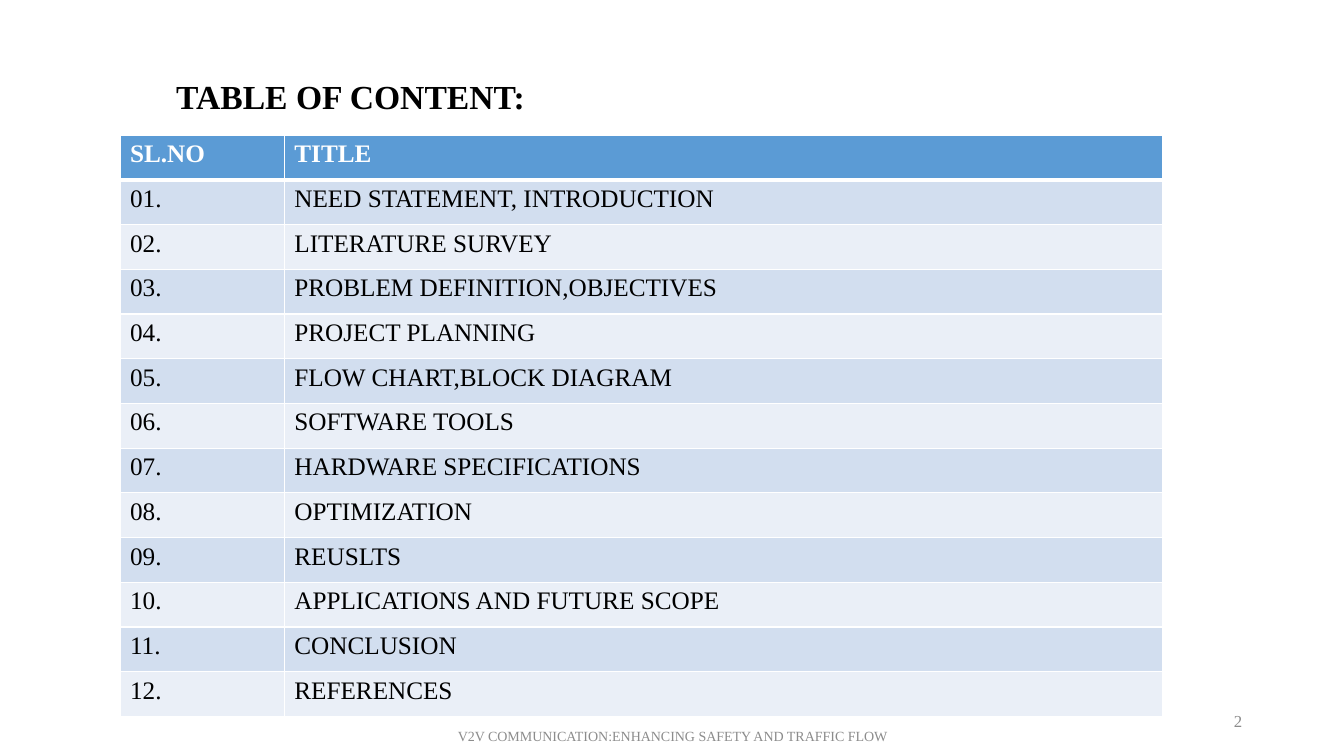
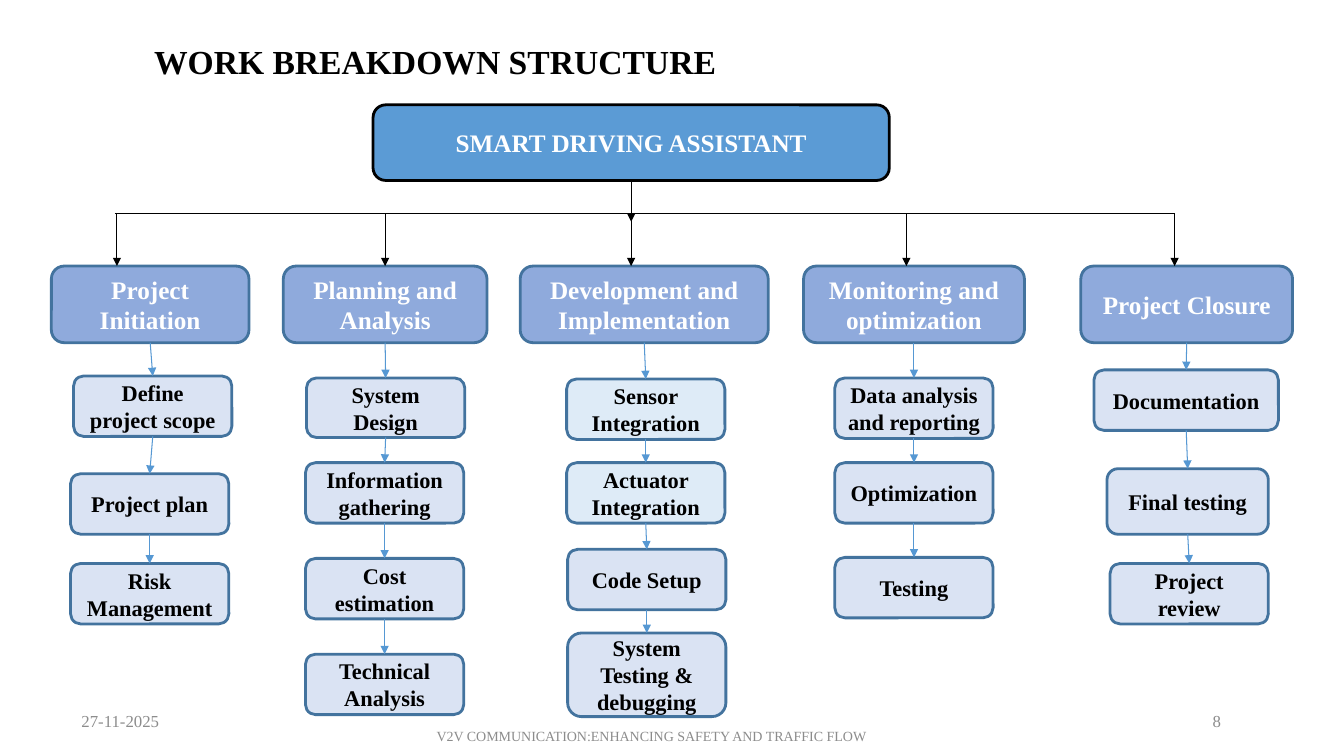
import pptx
import pptx.util
import pptx.dml.color
import pptx.enum.shapes
import pptx.enum.text
import pptx.oxml.ns
from lxml import etree

Inches = pptx.util.Inches
Pt = pptx.util.Pt
ALIGN = pptx.enum.text.PP_ALIGN
ANCHOR = pptx.enum.text.MSO_ANCHOR
qn = pptx.oxml.ns.qn

COLORS = {
    "black": "000000", "white": "FFFFFF", "footer": "8C8C8C",
    "accent": "5B9BD5", "band_dark": "D2DEEF", "band_light": "EAEFF7",
    "phase": "8FAADC", "task": "DAE3F3", "integration": "DEEBF7",
    "outline": "43739E", "arrow": "5698D3",
}
RGB = {name: pptx.dml.color.RGBColor.from_string(value) for name, value in COLORS.items()}
FONT = "Times New Roman"
FOOTER = "V2V COMMUNICATION:ENHANCING SAFETY AND TRAFFIC FLOW"


def write_text(frame, text, size, color, bold=False, align=ALIGN.LEFT, anchor=ANCHOR.MIDDLE, spacing=None):
    frame.word_wrap = True
    frame.vertical_anchor = anchor
    for index, line in enumerate(text.split("\n")):
        paragraph = frame.add_paragraph() if index else frame.paragraphs[0]
        paragraph.alignment = align
        if spacing:
            paragraph.line_spacing = spacing
        run = paragraph.add_run()
        run.text = line
        run.font.name = FONT
        run.font.size = Pt(size)
        run.font.bold = bold
        run.font.color.rgb = RGB[color]


def add_line(slide, start, end, color, arrow=True):
    connector = slide.shapes.add_connector(
        pptx.enum.shapes.MSO_CONNECTOR.STRAIGHT, *[Inches(value) for value in (*start, *end)])
    connector.line.color.rgb = RGB[color]
    connector.line.width = Pt(0.75)
    if arrow:
        etree.SubElement(connector.line._get_or_add_ln(), qn("a:tailEnd"), type="triangle")
    etree.SubElement(connector._element.spPr, qn("a:effectLst"))
    return connector


presentation = pptx.Presentation()
presentation.slide_width = Inches(13.33)
presentation.slide_height = Inches(7.5)

pages = [
    ("TABLE OF CONTENT:", (1.65, 0.61, 11.5, 0.73), ALIGN.LEFT, "2", 9.42, 4.42),
    ("WORK BREAKDOWN STRUCTURE", (0.29, 0.14, 8.05, 0.99), ALIGN.CENTER, "8", 9.21, 4.21),
]
slides = []
for title, title_box, title_align, number, number_left, footer_left in pages:
    slide = presentation.slides.add_slide(presentation.slide_layouts[6])
    slides.append(slide)
    texts = [
        (title, title_box, 24, "black", True, title_align, 0.9),
        (number, (number_left, 6.95, 3, 0.4), 12, "footer", False, ALIGN.RIGHT, None),
        (FOOTER, (footer_left, 7.1, 4.5, 0.4), 10, "footer", False, ALIGN.CENTER, None),
    ]
    for text, box, size, color, bold, align, spacing in texts:
        textbox = slide.shapes.add_textbox(*[Inches(value) for value in box])
        write_text(textbox.text_frame, text, size, color, bold, align, spacing=spacing)
contents_slide, breakdown_slide = slides

topics = [
    "NEED STATEMENT, INTRODUCTION", "LITERATURE SURVEY", "PROBLEM DEFINITION,OBJECTIVES",
    "PROJECT PLANNING", "FLOW CHART,BLOCK DIAGRAM", "SOFTWARE TOOLS",
    "HARDWARE SPECIFICATIONS", "OPTIMIZATION", "REUSLTS",
    "APPLICATIONS AND FUTURE SCOPE", "CONCLUSION", "REFERENCES",
]
rows = [("SL.NO", "TITLE")] + [(f"{number:02d}.", topic) for number, topic in enumerate(topics, 1)]
table = contents_slide.shapes.add_table(
    len(rows), 2, Inches(1.19), Inches(1.34), Inches(10.34), Inches(5.77)).table
table.columns[0].width = Inches(1.63)
table.columns[1].width = Inches(8.71)
for row_index, row in enumerate(rows):
    header = row_index == 0
    fill = "accent" if header else "band_dark" if row_index % 2 else "band_light"
    borders = {"a:lnL": 1, "a:lnR": 1, "a:lnT": 3 if row_index == 1 else 1, "a:lnB": 3 if header else 1}
    for column_index, text in enumerate(row):
        cell = table.cell(row_index, column_index)
        write_text(cell.text_frame, text, 18, "white" if header else "black", header, anchor=ANCHOR.TOP)
        properties = cell._tc.get_or_add_tcPr()
        for tag, width in borders.items():
            border = etree.SubElement(properties, qn(tag), w=str(Pt(width)))
            border_fill = etree.SubElement(border, qn("a:solidFill"))
            etree.SubElement(border_fill, qn("a:srgbClr"), val=COLORS["white"])
        cell.fill.solid()
        cell.fill.fore_color.rgb = RGB[fill]

date = breakdown_slide.shapes.add_textbox(Inches(0.71), Inches(6.95), Inches(3), Inches(0.4))
write_text(date.text_frame, "27-11-2025", 12, "footer")

STYLES = {
    "root": ("accent", "black", 18, "white"),
    "phase": ("phase", "outline", 18, "white"),
    "task": ("task", "outline", 16, "black"),
    "integration": ("integration", "outline", 16, "black"),
}
root = ("SMART DRIVING ASSISTANT", 3.7, 1.04, 5.12, 0.75, "root")
phases = [
    (1.16, [
        ("Project Initiation", 0.51, 2.64, 1.96, 0.76, "phase"),
        ("Define project scope", 0.73, 3.73, 1.57, 0.6, "task"),
        ("Project plan", 0.7, 4.7, 1.57, 0.6, "task"),
        ("Risk Management", 0.7, 5.59, 1.57, 0.6, "task"),
    ]),
    (3.82, [
        ("Planning and Analysis", 2.81, 2.64, 2.02, 0.76, "phase"),
        ("System Design", 3.04, 3.75, 1.57, 0.59, "task"),
        ("Information gathering", 3.03, 4.59, 1.57, 0.6, "task"),
        ("Cost estimation", 3.03, 5.54, 1.57, 0.6, "task"),
        ("Technical Analysis", 3.03, 6.49, 1.57, 0.6, "task"),
    ]),
    (6.26, [
        ("Development and Implementation", 5.16, 2.64, 2.46, 0.76, "phase"),
        ("Sensor Integration", 5.62, 3.76, 1.57, 0.6, "integration"),
        ("Actuator Integration", 5.62, 4.59, 1.57, 0.6, "integration"),
        ("Code Setup", 5.63, 5.45, 1.57, 0.6, "task"),
        ("System Testing & debugging", 5.63, 6.28, 1.57, 0.83, "task"),
    ]),
    (8.99, [
        ("Monitoring and\noptimization", 7.97, 2.64, 2.19, 0.76, "phase"),
        ("Data analysis and reporting", 8.28, 3.75, 1.57, 0.6, "task"),
        ("Optimization", 8.28, 4.59, 1.57, 0.6, "task"),
        ("Testing", 8.28, 5.53, 1.57, 0.6, "task"),
    ]),
    (11.65, [
        ("Project Closure", 10.72, 2.64, 2.1, 0.76, "phase"),
        ("Documentation", 10.85, 3.67, 1.83, 0.6, "task"),
        ("Final testing", 10.98, 4.65, 1.6, 0.65, "task"),
        ("Project review", 11.01, 5.59, 1.57, 0.6, "task"),
    ]),
]
stacks = []
for boxes in [[root]] + [boxes for branch_x, boxes in phases]:
    stack = []
    for text, left, top, width, height, style in boxes:
        fill, outline, size, color = STYLES[style]
        shape = breakdown_slide.shapes.add_shape(
            pptx.enum.shapes.MSO_SHAPE.ROUNDED_RECTANGLE,
            Inches(left), Inches(top), Inches(width), Inches(height))
        shape.shadow.inherit = False
        shape.fill.solid()
        shape.fill.fore_color.rgb = RGB[fill]
        shape.line.color.rgb = RGB[outline]
        shape.line.width = Pt(2)
        write_text(shape.text_frame, text, size, color, True, ALIGN.CENTER)
        stack.append(shape)
    stacks.append(stack)
root_shape = stacks[0][0]
phase_stacks = stacks[1:]

for stack in phase_stacks:
    for upper, lower in zip(stack, stack[1:]):
        connector = add_line(breakdown_slide, (0, 0), (0, 0), "arrow")
        connector.begin_connect(upper, 2)
        connector.end_connect(lower, 0)

BUS_Y = 2.12
add_line(breakdown_slide, (1.14, BUS_Y), (11.65, BUS_Y), "black", arrow=False)
for (branch_x, boxes), stack in zip(phases, phase_stacks):
    connector = add_line(breakdown_slide, (branch_x, BUS_Y), (branch_x, 2.64), "black")
    phase_shape = stack[0]
    if abs(phase_shape.left + phase_shape.width / 2 - Inches(branch_x)) < Inches(0.02):
        connector.end_connect(phase_shape, 0)
trunk = add_line(breakdown_slide, (6.26, 1.79), (6.26, 2.2), "black")
trunk.begin_connect(root_shape, 2)

presentation.save("out.pptx")
